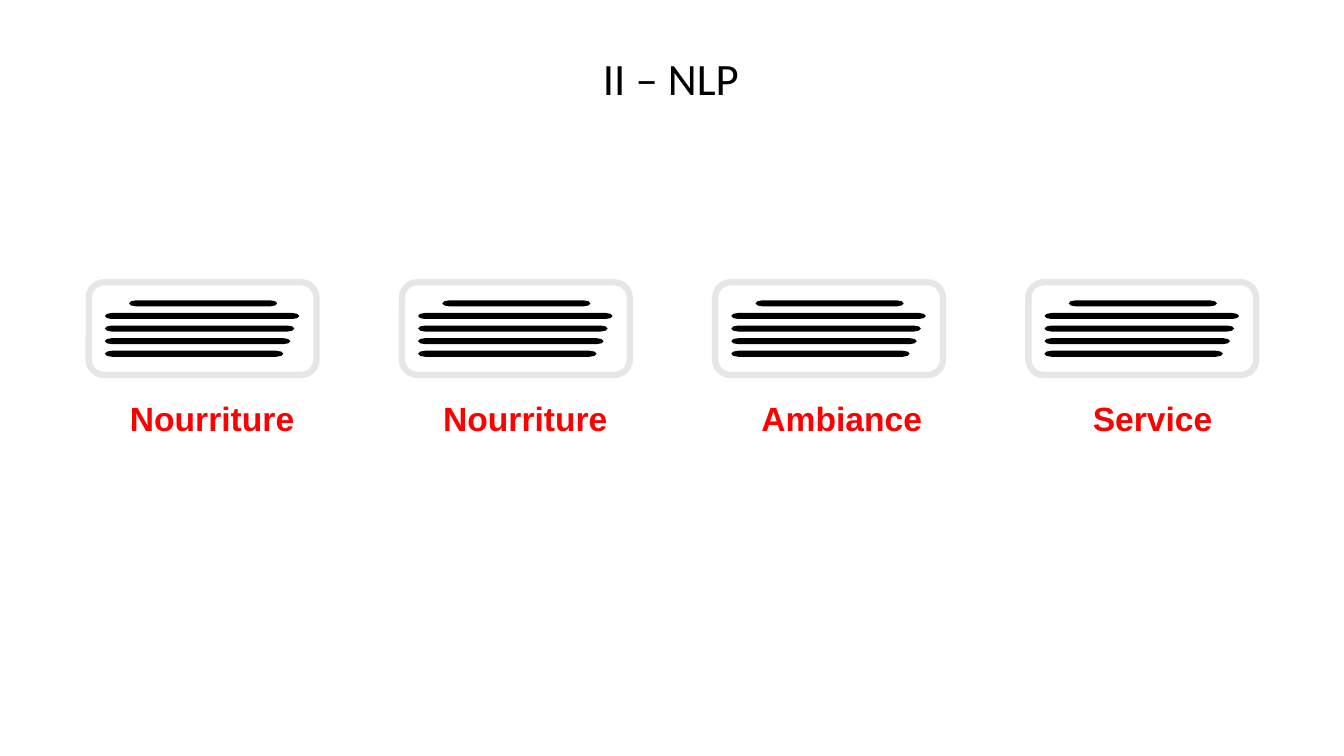
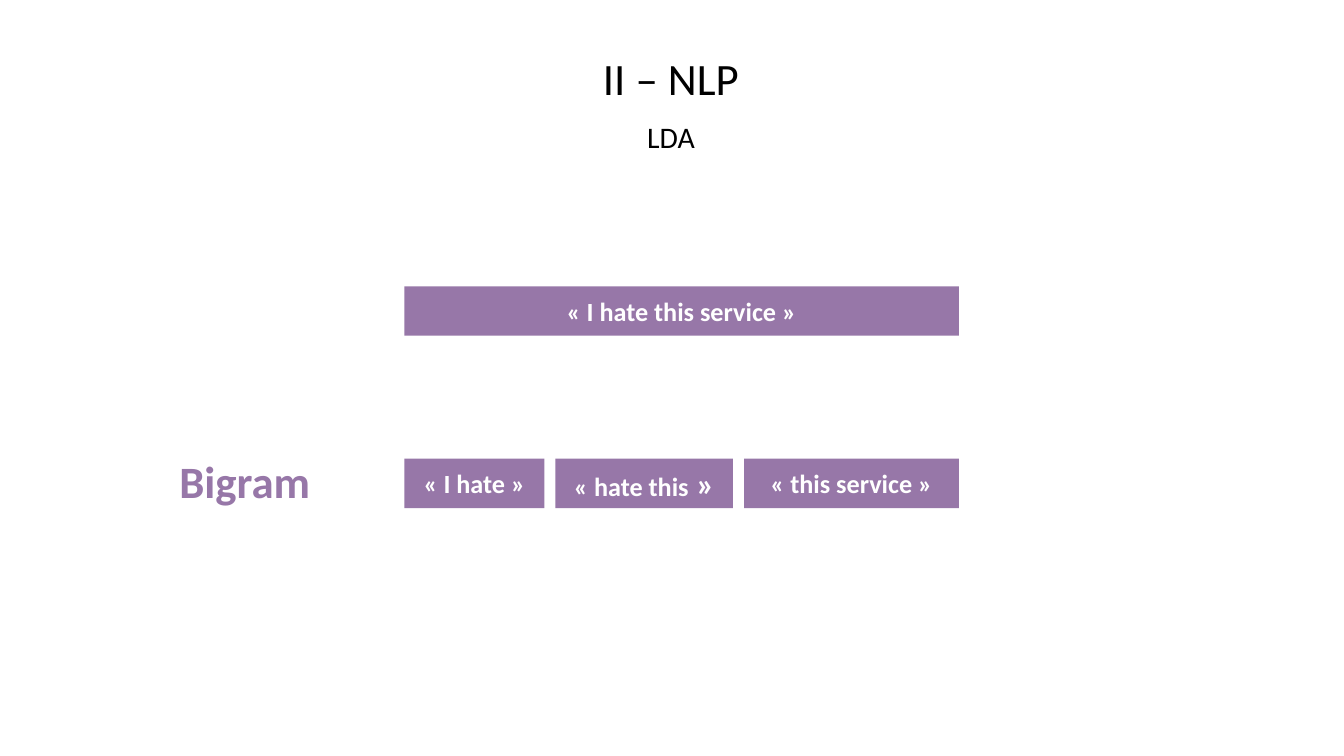
import math

from pptx import Presentation
from pptx.dml.color import RGBColor
from pptx.enum import shapes, text
from pptx.util import Inches, Pt

BLACK, WHITE, RED = "000000", "FFFFFF", "FF0000"
PURPLE, GREY = "9777A8", "E7E6E6"
HEADING_LEFT, HEADING_WIDTH = 4.16, 4.99


def colour(hex_code):
    return RGBColor.from_string(hex_code)


def paint(shape, fill, line=None, line_width=0):
    shape.shadow.inherit = False
    shape.fill.solid()
    shape.fill.fore_color.rgb = colour(fill)
    if line:
        shape.line.color.rgb = colour(line)
        shape.line.width = Pt(line_width)
    else:
        shape.line.fill.background()


def write(shape, spans, ink, font="Calibri", bold=False, centred=True, wrap=True):
    """Fill a shape with one paragraph made of (words, size) spans."""
    frame = shape.text_frame
    frame.word_wrap = wrap
    para = frame.paragraphs[0]
    para.alignment = text.PP_ALIGN.CENTER if centred else text.PP_ALIGN.LEFT
    for words, size in spans:
        span = para.add_run()
        span.text = words
        span.font.name = font
        span.font.size = Pt(size)
        span.font.bold = bold
        span.font.color.rgb = colour(ink)


def add_label(page, left, top, width, height, words, size, ink, **style):
    box = page.shapes.add_textbox(*map(Inches, (left, top, width, height)))
    write(box, [(words, size)], ink, **style)
    box.text_frame.auto_size = text.MSO_AUTO_SIZE.SHAPE_TO_FIT_TEXT


def add_page(deck, subtitle=None):
    page = deck.slides.add_slide(deck.slide_layouts[6])
    add_label(page, HEADING_LEFT, 0.45, HEADING_WIDTH, 0.64, "II – NLP", 32, BLACK)
    if subtitle:
        add_label(page, HEADING_LEFT, 1.13, HEADING_WIDTH, 0.46, subtitle, 21.3, BLACK)
    return page


def add_stroke(group, left, top, width, height=0.06, cap=0.07):
    """Draw a bar with rounded ends."""
    points = []
    for centre, start in ((left + width - cap, -90), (left + cap, 90)):
        for angle in range(start, start + 181, 45):
            turn = math.radians(angle)
            points.append((Inches(centre + cap * math.cos(turn)),
                           Inches(top + height / 2 * (1 + math.sin(turn)))))
    builder = group.shapes.build_freeform(*points[0])
    builder.add_line_segments(points[1:], close=True)
    paint(builder.convert_to_shape(), BLACK)


def add_review(page, left, top, topic, label_indent, label_width):
    """Draw a card of text strokes with its topic below."""
    group = page.shapes.add_group_shape()
    card = group.shapes.add_shape(shapes.MSO_SHAPE.ROUNDED_RECTANGLE,
                                  *map(Inches, (left, top, 2.26, 0.92)))
    paint(card, WHITE, GREY, 4.5)
    strokes = [(0.4, 1.47), (0.16, 1.93), (0.16, 1.88), (0.16, 1.84), (0.16, 1.77)]
    for row, (indent, length) in enumerate(strokes):
        add_stroke(group, left + indent, top + 0.18 + row * 0.5 / 4, length)
    add_label(page, left + label_indent, top + 1.1, label_width, 0.5, topic, 24, RED,
              font="Arial", bold=True, centred=False, wrap=False)


def add_token(page, left, top, width, spans):
    token = page.shapes.add_shape(shapes.MSO_SHAPE.RECTANGLE,
                                  *map(Inches, (left, top, width, 0.49)))
    paint(token, PURPLE)
    token.text_frame.vertical_anchor = text.MSO_ANCHOR.MIDDLE
    write(token, spans, WHITE, bold=True)


def add_bigrams(page, left, top, gap=0.11):
    bigrams = [
        (1.39, [("« I hate »", 18.7)]),
        (1.76, [("« hate this", 18.7), (" »", 24)]),
        (2.13, [("« this service »", 18.7)]),
    ]
    for width, spans in bigrams:
        add_token(page, left, top, width, spans)
        left += width + gap


def build_topics(deck):
    page = add_page(deck)
    first, last = 0.88, 10.2
    topics = [
        ("Nourriture", 0.31, 1.85),
        ("Nourriture", 0.31, 1.85),
        ("Ambiance", 0.36, 1.81),
        ("Service", 0.54, 1.4),
    ]
    pitch = (last - first) / (len(topics) - 1)
    for column, topic in enumerate(topics):
        add_review(page, first + column * pitch, 2.8, *topic)


def build_lda(deck):
    page = add_page(deck, "LDA")
    left = 4.01
    add_label(page, 1.68, 4.45, 1.51, 0.64, "Bigram", 32, PURPLE,
              bold=True, centred=False, wrap=False)
    add_token(page, left, 2.84, 5.5, [("« I hate this service »", 18.7)])
    add_bigrams(page, left, 4.55)


def main():
    deck = Presentation()
    deck.slide_width, deck.slide_height = Inches(13.33), Inches(7.5)
    build_topics(deck)
    build_lda(deck)
    deck.save("out.pptx")


if __name__ == "__main__":
    main()
